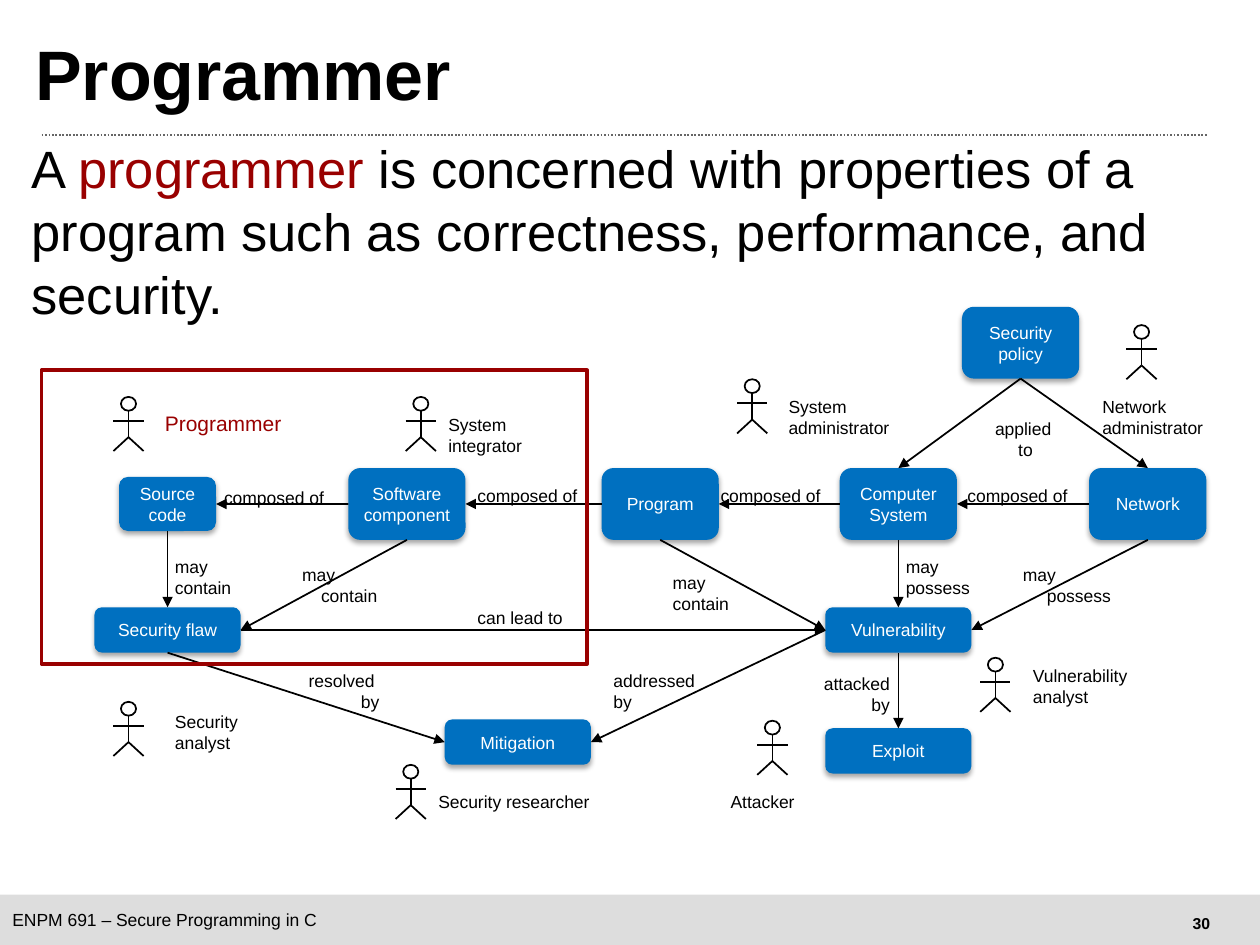
from lxml.etree import SubElement as Sub
from pptx import Presentation
from pptx.dml.color import RGBColor as Rgb
from pptx.enum.dml import MSO_LINE as Dash
from pptx.enum.shapes import MSO_CONNECTOR as Conn, MSO_SHAPE as Form
from pptx.enum.text import MSO_ANCHOR as Anchor, MSO_AUTO_SIZE as Auto, PP_ALIGN as Align
from pptx.oxml.ns import qn
from pptx.util import Inches, Pt

HUE = {"ink": "000000", "paper": "FFFFFF", "red": "990000", "blue": "0070C0",
       "bar": "DDDDDD", "rule": "666666"}
WIDE, HIGH = 10, 7.5
TOP, LEFT, FOOT, RIGHT = range(4)
BIG, FLAT = (0.93, 0.57), (1.16, 0.36)

NODES = {
    "source": (1.33, 1.6, (0.77, 0.43), "Source\ncode"),
    "part": (3.23, 1.6, BIG, "Software\ncomponent"),
    "program": (5.24, 1.6, BIG, "Program"),
    "system": (7.13, 1.6, BIG, "Computer\nSystem"),
    "network": (9.11, 1.6, BIG, "Network"),
    "policy": (8.1, 0.32, BIG, "Security\npolicy"),
    "flaw": (1.33, 2.6, FLAT, "Security flaw"),
    "weak": (7.13, 2.6, FLAT, "Vulnerability"),
    "fix": (4.11, 3.49, FLAT, "Mitigation"),
    "exploit": (7.13, 3.56, FLAT, "Exploit"),
}
LINKS = [
    ("part", LEFT, "source", RIGHT), ("program", LEFT, "part", RIGHT),
    ("system", LEFT, "program", RIGHT), ("network", LEFT, "system", RIGHT),
    ("source", FOOT, "flaw", TOP), ("part", FOOT, "flaw", RIGHT),
    ("program", FOOT, "weak", LEFT), ("system", FOOT, "weak", TOP),
    ("network", FOOT, "weak", RIGHT), ("flaw", RIGHT, "weak", LEFT),
    ("flaw", FOOT, "fix", LEFT), ("weak", LEFT, "fix", RIGHT),
    ("weak", FOOT, "exploit", TOP), ("policy", FOOT, "network", TOP),
    ("policy", FOOT, "system", TOP),
]
PEOPLE = [(1.02, 0.75), (3.34, 0.75), (5.97, 0.61), (9.06, 0.18),
          (1.02, 3.17), (3.26, 3.67), (6.13, 3.32), (7.9, 2.82)]
LABELS = [
    (1.68, 1.42, 1.06, "composed of", {"wrap": True}),
    (3.69, 1.4, 0.99, "composed of", {}),
    (5.62, 1.4, 0.99, "composed of", {}),
    (7.58, 1.4, 0.99, "composed of", {}),
    (1.29, 1.96, 0.65, "may\ncontain", {}),
    (2.3, 2.03, 0.8, "may\ncontain", {"dent": 0.15}),
    (5.24, 2.09, 0.65, "may\ncontain", {}),
    (7.09, 1.96, 0.85, "may\npossess", {"wrap": True}),
    (8.02, 2.03, 1.16, "may\npossess", {"dent": 0.19, "wrap": True}),
    (3.69, 2.37, 0.89, "can lead to", {}),
    (2.35, 2.87, 0.76, "resolved \nby", {"align": Align.RIGHT}),
    (4.77, 2.87, 0.85, "addressed\nby", {}),
    (6.44, 2.89, 0.72, "attacked\nby", {"align": Align.RIGHT}),
    (7.79, 0.87, 0.66, "applied\n to", {"align": Align.CENTER}),
    (1.21, 0.81, 1.14, "Programmer", {"size": 12, "hue": "red"}),
    (3.46, 0.84, 0.8, "System\nintegrator", {}),
    (6.16, 0.69, 1.01, "System\nadministrator", {}),
    (8.65, 0.69, 1.01, "Network\nadministrator", {}),
    (1.29, 3.19, 0.71, "Security\nanalyst", {}),
    (8.1, 2.83, 0.96, "Vulnerability\nanalyst", {}),
    (3.38, 3.83, 1.41, "Security researcher", {}),
    (5.7, 3.83, 0.72, "Attacker", {}),
]


def tint(hue):
    """Return a named colour."""
    return Rgb.from_string(HUE[hue])


def put(para, text, size=10, hue="ink", bold=False):
    """Add one formatted run."""
    run = para.add_run()
    run.text = text
    font = run.font
    font.name, font.size, font.bold = "Arial", Pt(size), bold
    font.color.rgb = tint(hue)


def write(frame, text, align=Align.LEFT, dent=0, wrap=False, **look):
    """Fill a frame line by line, indenting the lines after the first."""
    frame.word_wrap = wrap
    for row, line in enumerate(text.split("\n")):
        para = frame.add_paragraph() if row else frame.paragraphs[0]
        para.alignment = align
        if row and dent:
            para._p.get_or_add_pPr().set("marL", str(Inches(dent)))
        put(para, line, **look)


def shape(slide, form, box, fill=None, line=None, width=1):
    """Add a flat preset shape."""
    item = slide.shapes.add_shape(form, *map(Inches, box))
    item.shadow.inherit = False
    if fill:
        item.fill.solid()
        item.fill.fore_color.rgb = tint(fill)
    else:
        item.fill.background()
    if line:
        item.line.color.rgb, item.line.width = tint(line), Pt(width)
    else:
        item.line.fill.background()
    return item


def stroke(slide, ends, hue="ink"):
    """Add a straight line without shadow."""
    item = slide.shapes.add_connector(Conn.STRAIGHT, *map(Inches, ends))
    item.line.color.rgb, item.line.width = tint(hue), Pt(1)
    Sub(item._element.spPr, qn("a:effectLst"))
    return item


def label(slide, box, text, **look):
    """Add a text box that grows with its text."""
    frame = slide.shapes.add_textbox(*map(Inches, box)).text_frame
    write(frame, text, **look)
    frame.auto_size = Auto.SHAPE_TO_FIT_TEXT
    return frame


def node(slide, x, y, size, text):
    """Add a rounded box centred on a point, with a soft shadow."""
    w, h = size
    item = shape(slide, Form.ROUNDED_RECTANGLE, (x - w / 2, y - h / 2, w, h), "blue")
    glow = Sub(item._element.spPr.find(qn("a:effectLst")), qn("a:outerShdw"),
               blurRad=str(Pt(3.1)), dist=str(Pt(1.8)), dir="5400000", rotWithShape="0")
    Sub(Sub(glow, qn("a:srgbClr"), val=HUE["ink"]), qn("a:alpha"), val="35000")
    item.text_frame.vertical_anchor = Anchor.MIDDLE
    write(item.text_frame, text, align=Align.CENTER, hue="paper")
    return item


def link(slide, start, out, end, into):
    """Join two boxes with an arrow."""
    item = stroke(slide, (0, 0, 1, 1))
    item.begin_connect(start, out)
    item.end_connect(end, into)
    Sub(item.line._get_or_add_ln(), qn("a:tailEnd"), type="triangle")


def person(slide, x, y):
    """Draw a stick figure whose head top is at a point."""
    arm, neck, hip, foot = 0.12, 0.11, 0.32, 0.43
    stroke(slide, (x, y + neck, x, y + hip))
    stroke(slide, (x - arm, y + 0.19, x + arm, y + 0.19))
    for side in (-arm, arm):
        stroke(slide, (x, y + hip, x + side, y + foot))
    shape(slide, Form.OVAL, (x - 0.06, y, 0.12, neck), "paper", "ink")


def diagram(slide, left, top):
    """Draw the map of roles and artefacts from a corner."""
    boxes = {key: node(slide, left + x, top + y, size, text)
             for key, (x, y, size, text) in NODES.items()}
    for start, out, end, into in LINKS:
        link(slide, boxes[start], out, boxes[end], into)
    for x, y in PEOPLE:
        person(slide, left + x, top + y)
    for x, y, w, text, look in LABELS:
        h = 0.43 if "\n" in text else 0.27
        label(slide, (left + x, top + y, w, h), text, **look)
    shape(slide, Form.RECTANGLE, (left + 0.33, top + 0.54, 4.33, 2.33),
          line="red", width=2.25)


def holder(item, box, anchor):
    """Place a placeholder, clear its margins and return its first paragraph."""
    item.left, item.top, item.width, item.height = map(Inches, box)
    frame = item.text_frame
    frame.margin_left = frame.margin_right = frame.margin_top = frame.margin_bottom = 0
    frame.word_wrap, frame.auto_size = True, Auto.NONE
    frame.vertical_anchor = anchor
    para = frame.paragraphs[0]
    para.alignment = Align.LEFT
    return para


def heading(slide, left, top):
    """Set the title, its dotted rule and the statement."""
    title = holder(slide.shapes.title, (left + 0.03, top, 9.27, 0.78), Anchor.MIDDLE)
    title.line_spacing = 0.8
    put(title, "Programmer", 40, bold=True)
    rule = stroke(slide, (left + 0.08, top + 0.82, left + 9.33, top + 0.82), "rule")
    rule.line.dash_style = Dash.ROUND_DOT
    body = holder(slide.placeholders[1], (left, top + 0.83, 9.25, 1.75), Anchor.TOP)
    prop = body._p.get_or_add_pPr()
    prop.set("marL", "0")
    prop.set("indent", "0")
    body.space_before = Pt(0)
    Sub(prop, qn("a:buNone"))
    put(body, "A ", 30)
    put(body, "programmer", 30, "red")
    put(body, " is concerned with properties of a program such as correctness, "
        "performance, and security.", 30)


def footer(slide, top, high):
    """Draw the footer bar with course and page."""
    bar = shape(slide, Form.RECTANGLE, (0, top, WIDE, high), "bar")
    bar.text_frame.vertical_anchor = Anchor.MIDDLE
    write(bar.text_frame, "ENPM 691 – Secure Programming in C", wrap=True)
    page = label(slide, (9.36, top + 0.1, 0.35, 0.25), "30",
                 align=Align.CENTER, size=9, bold=True)
    page.vertical_anchor = Anchor.MIDDLE


def main():
    """Build the slide."""
    deck = Presentation()
    deck.slide_width, deck.slide_height = Inches(WIDE), Inches(HIGH)
    slide = deck.slides.add_slide(deck.slide_layouts[1])
    footer(slide, 7.1, 0.4)
    heading(slide, 0.25, 0.25)
    diagram(slide, 0, 2.4)
    deck.save("out.pptx")


if __name__ == "__main__":
    main()
